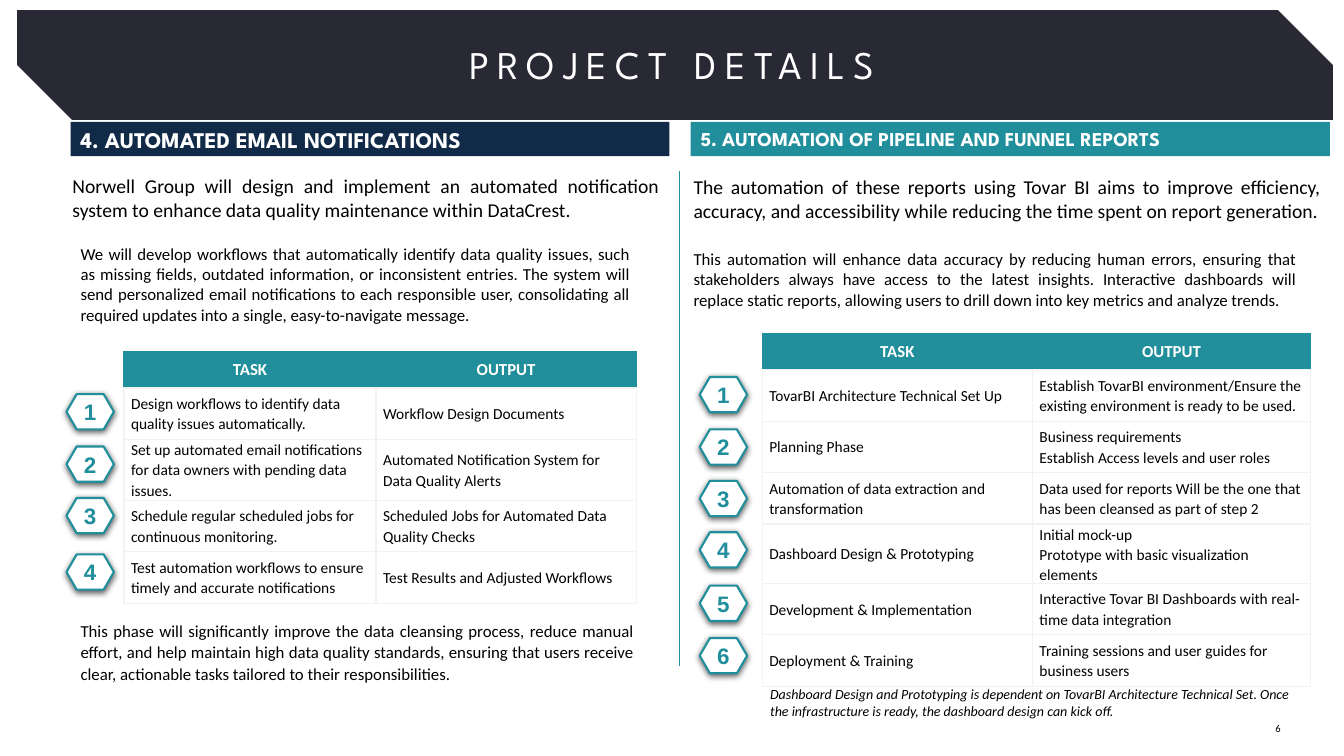
import pptx
import pptx.dml.color
import pptx.enum.shapes
import pptx.enum.text
import pptx.oxml
import pptx.oxml.ns
import pptx.util

PX = 9144  # 100 px to the inch
COLORS = {"banner": "292936", "navy": "112A48", "teal": "208E9B",
          "white": "FFFFFF", "black": "000000", "grid": "F2F2F2"}
SHAPES = pptx.enum.shapes.MSO_SHAPE
ALIGN = pptx.enum.text.PP_ALIGN
ANCHOR = pptx.enum.text.MSO_ANCHOR

HEADING = {"size": 16, "name": "League Spartan", "color": "white", "bold": True}
BODY = {"size": 12, "name": "Calibri", "color": "black"}
LEAD = {**BODY, "size": 14}
CELL = {**BODY, "size": 11, "bold": False}
CELL_HEADER = {**BODY, "color": "white", "bold": True}
NOTE = {**BODY, "size": 10, "italic": True}
BADGE = {"size": 16, "name": "Arial", "color": "teal", "bold": True}
JUSTIFIED = {"alignment": ALIGN.JUSTIFY}
SPACED = {"line_spacing": 1.07}

# Boxes are left, top, width, height in px; parts are relative to their column.
COLUMNS = [
    {
        "box": (70, 121, 594, 34),
        "color": "navy",
        "heading": ("4. AUTOMATED EMAIL NOTIFICATIONS", HEADING),
        "texts": [
            ((-8, 47, 602, 57), LEAD, JUSTIFIED,
             "Norwell Group will design and implement an automated notification system "
             "to enhance data quality maintenance within DataCrest."),
            ((0, 116, 565, 91), BODY, JUSTIFIED,
             "We will develop workflows that automatically identify data quality issues, such as "
             "missing fields, outdated information, or inconsistent entries. The system will send "
             "personalized email notifications to each responsible user, consolidating all "
             "required updates into a single, easy-to-navigate message."),
            ((0, 488, 569, 74), BODY, {**JUSTIFIED, **SPACED},
             "This phase will significantly improve the data cleansing process, reduce manual "
             "effort, and help maintain high data quality standards, ensuring that users receive "
             "clear, actionable tasks tailored to their responsibilities."),
        ],
        "table": (53, 228),
        "widths": (250, 258),
        "badge_left": -4,
        "badge_tops": (270, 322, 373, 429),
        "rows": [
            ("Design workflows to identify data quality issues automatically.",
             "Workflow Design Documents"),
            ("Set up automated email notifications for data owners with pending data issues.",
             "Automated Notification System for Data Quality Alerts"),
            ("Schedule regular scheduled jobs for continuous monitoring.",
             "Scheduled Jobs for Automated Data Quality Checks"),
            ("Test automation workflows to ensure timely and accurate notifications",
             "Test Results and Adjusted Workflows"),
        ],
    },
    {
        "box": (685, 121, 634, 34),
        "color": "teal",
        "heading": ("5. AUTOMATION OF PIPELINE AND FUNNEL REPORTS", {**HEADING, "size": 14}),
        "texts": [
            ((-7, 48, 642, 57), LEAD, JUSTIFIED,
             "The automation of these reports using Tovar BI aims to improve efficiency, accuracy, "
             "and accessibility while reducing the time spent on report generation."),
            ((-7, 121, 618, 71), BODY, JUSTIFIED,
             "This automation will enhance data accuracy by reducing human errors, ensuring that "
             "stakeholders always have access to the latest insights. Interactive dashboards will "
             "replace static reports, allowing users to drill down into key metrics and analyze "
             "trends."),
            ((69, 554, 547, 44), NOTE, {},
             "Dashboard Design and Prototyping is dependent on TovarBI Architecture Technical "
             "Set. Once the infrastructure is ready, the dashboard design can kick off."),
        ],
        "table": (71, 210),
        "widths": (268, 276),
        "badge_left": 9,
        "badge_tops": (253, 305, 356, 407, 460, 512),
        "rows": [
            ("TovarBI Architecture Technical Set Up",
             "Establish TovarBI environment/Ensure the existing environment is ready to be used."),
            ("Planning Phase", "Business requirements\nEstablish Access levels and user roles"),
            ("Automation of data extraction and transformation",
             "Data used for reports Will be the one that has been cleansed as part of step 2"),
            ("Dashboard Design & Prototyping",
             "Initial mock-up\nPrototype with basic visualization elements"),
            ("Development & Implementation",
             "Interactive Tovar BI Dashboards with real-time data integration"),
            ("Deployment & Training", "Training sessions and user guides for business users"),
        ],
    },
]


def rgb(color):
    return pptx.dml.color.RGBColor.from_string(COLORS[color])


def emu(*lengths):
    return [round(length * PX) for length in lengths]


def write(frame, text, font, layout=None, **frame_format):
    """Fill a text frame or table cell; each line becomes a paragraph."""
    for name, value in frame_format.items():
        setattr(frame, name, value)
    text_frame = getattr(frame, "text_frame", frame)
    text_frame.text = text
    for paragraph in text_frame.paragraphs:
        for name, value in (layout or {}).items():
            setattr(paragraph, name, value)
        for run in paragraph.runs:
            for name, value in font.items():
                if name == "color":
                    run.font.color.rgb = rgb(value)
                else:
                    setattr(run.font, name, pptx.util.Pt(value) if name == "size" else value)


def add_text(slide, box, text, font, layout):
    shape = slide.shapes.add_textbox(*emu(*box))
    write(shape.text_frame, text, font, layout, word_wrap=True)


def add_filled_shape(slide, kind, box, color):
    shape = slide.shapes.add_shape(kind, *emu(*box))
    shape.shadow.inherit = False
    shape.fill.solid()
    shape.fill.fore_color.rgb = rgb(color)
    shape.line.fill.background()
    return shape


def add_effect_list(shape, content=""):
    properties = shape._element.spPr
    for effects in properties.findall(pptx.oxml.ns.qn("a:effectLst")):
        properties.remove(effects)
    properties.append(pptx.oxml.parse_xml(
        f'<a:effectLst {pptx.oxml.ns.nsdecls("a")}>{content}</a:effectLst>'))


def add_banner(slide, box):
    left, top, width, height = box
    banner = add_filled_shape(slide, SHAPES.SNIP_2_DIAG_RECTANGLE, box, "banner")
    banner.adjustments[0], banner.adjustments[1] = 0, 0.5
    title = slide.shapes.title
    title.left, title.top, title.width, title.height = emu(left - 3, top + 30, width, 47)
    write(title.text_frame, "PROJECT DETAILS",
          {"size": 28, "name": "League Spartan", "color": "white"}, {"alignment": ALIGN.CENTER},
          margin_left=0, margin_top=0, margin_right=0, margin_bottom=0,
          vertical_anchor=ANCHOR.TOP, auto_size=pptx.enum.text.MSO_AUTO_SIZE.NONE)
    title.text_frame.paragraphs[0].runs[0]._r.get_or_add_rPr().set("spc", "600")
    banner._element.addnext(title._element)


def add_badge(slide, box, number):
    badge = add_filled_shape(slide, SHAPES.HEXAGON, box, "white")
    badge.adjustments[0] = 0.29
    badge.line.color.rgb = rgb("teal")
    badge.line.width = pptx.util.Pt(1.5)
    add_effect_list(badge, '<a:outerShdw blurRad="57150" dist="19050" dir="5400000" '
                    f'algn="ctr" rotWithShape="0"><a:srgbClr val="{COLORS["black"]}">'
                    '<a:alpha val="63000"/></a:srgbClr></a:outerShdw>')
    write(badge.text_frame, str(number), BADGE, {"alignment": ALIGN.CENTER}, margin_left=0,
          margin_top=0, margin_right=0, margin_bottom=0, vertical_anchor=ANCHOR.MIDDLE)


def set_borders(cell, colors):
    for index, (side, color) in enumerate(zip("LRTB", colors)):
        cell._tc.get_or_add_tcPr().insert(index, pptx.oxml.parse_xml(
            f'<a:ln{side} {pptx.oxml.ns.nsdecls("a")} w="12700"><a:solidFill>'
            f'<a:srgbClr val="{COLORS[color]}"/></a:solidFill></a:ln{side}>'))


def add_task_table(slide, left, top, widths, rows):
    heights = [36] + [51] * len(rows)
    table = slide.shapes.add_table(len(heights), len(widths),
                                   *emu(left, top, sum(widths), sum(heights))).table
    table.horz_banding = False
    for column, width in zip(table.columns, emu(*widths)):
        column.width = width
    for row, height, texts in zip(table.rows, emu(*heights), [("TASK", "OUTPUT"), *rows]):
        row.height = height
        is_header = row is not None and texts == ("TASK", "OUTPUT")
        for cell, text in zip(row.cells, texts):
            cell.vertical_anchor = ANCHOR.MIDDLE
            if is_header:
                cell.fill.solid()
                cell.fill.fore_color.rgb = rgb("teal")
                set_borders(cell, ("teal", "teal", "teal", "grid"))
                write(cell, text, CELL_HEADER, {"alignment": ALIGN.CENTER})
            else:
                cell.fill.background()
                set_borders(cell, ["grid"] * 4)
                side = 7 * PX
                write(cell, text, CELL, SPACED, margin_left=side, margin_right=side,
                      margin_top=0, margin_bottom=0)


def add_column(slide, box, content):
    left, top = box[:2]
    heading = add_filled_shape(slide, SHAPES.RECTANGLE, box, content["color"])
    write(heading.text_frame, *content["heading"], {"alignment": ALIGN.LEFT},
          vertical_anchor=ANCHOR.MIDDLE)
    table_left, table_top = content["table"]
    add_task_table(slide, left + table_left, top + table_top, content["widths"], content["rows"])
    for (x, y, width, height), font, layout, text in content["texts"]:
        add_text(slide, (left + x, top + y, width, height), text, font, layout)
    for number, badge_top in enumerate(content["badge_tops"], 1):
        add_badge(slide, (left + content["badge_left"], top + badge_top, 47, 35), number)


def add_divider(slide, x, top, bottom):
    divider = slide.shapes.add_connector(pptx.enum.shapes.MSO_CONNECTOR.STRAIGHT,
                                         *emu(x, top, x, bottom))
    divider.line.color.rgb = rgb("teal")
    divider.line.width = pptx.util.Pt(0.5)
    add_effect_list(divider)


def main():
    presentation = pptx.Presentation()
    presentation.slide_width, presentation.slide_height = emu(1333, 750)
    slide = presentation.slides.add_slide(presentation.slide_layouts[5])
    add_banner(slide, (17, 10, 1305, 109))
    add_divider(slide, 674, 170, 661)
    for content in COLUMNS:
        add_column(slide, content["box"], content)
    add_text(slide, (1087, 711, 193, 15), "6", {**BODY, "size": 7.5}, {"alignment": ALIGN.RIGHT})
    presentation.save("out.pptx")


if __name__ == "__main__":
    main()
